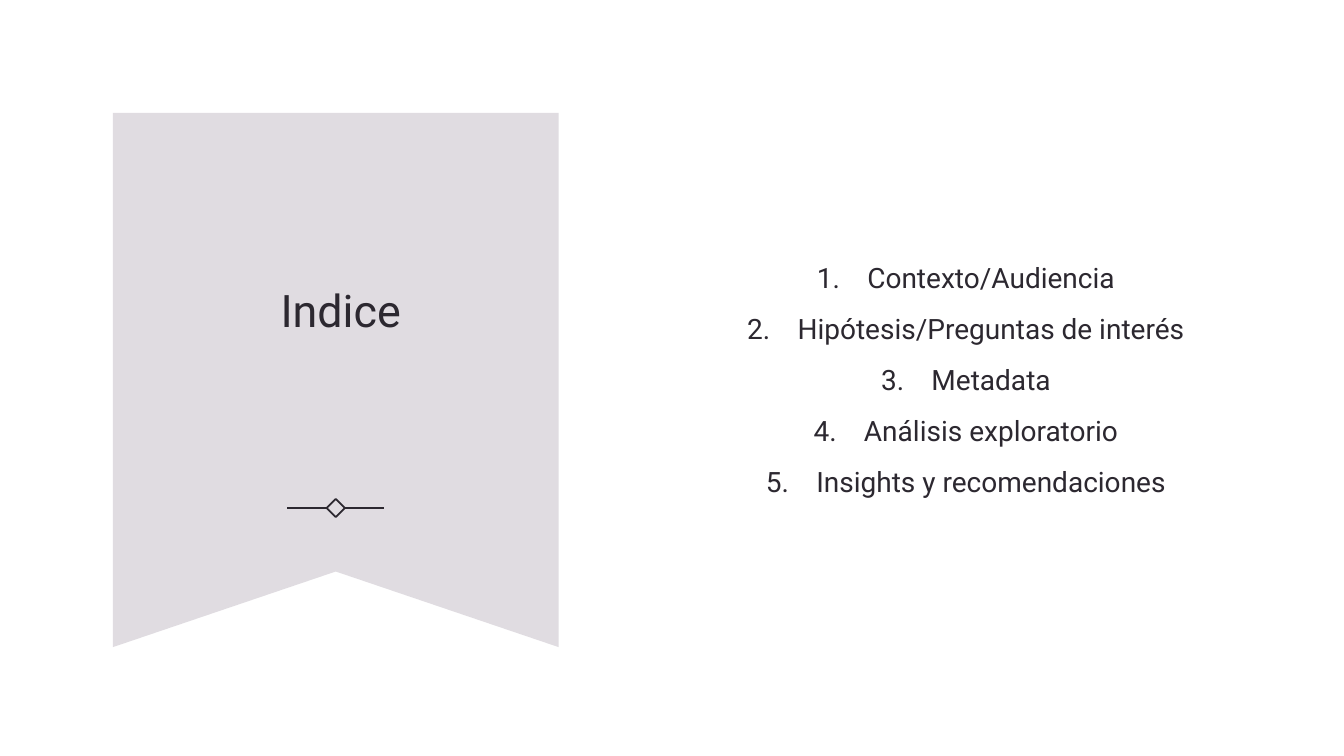
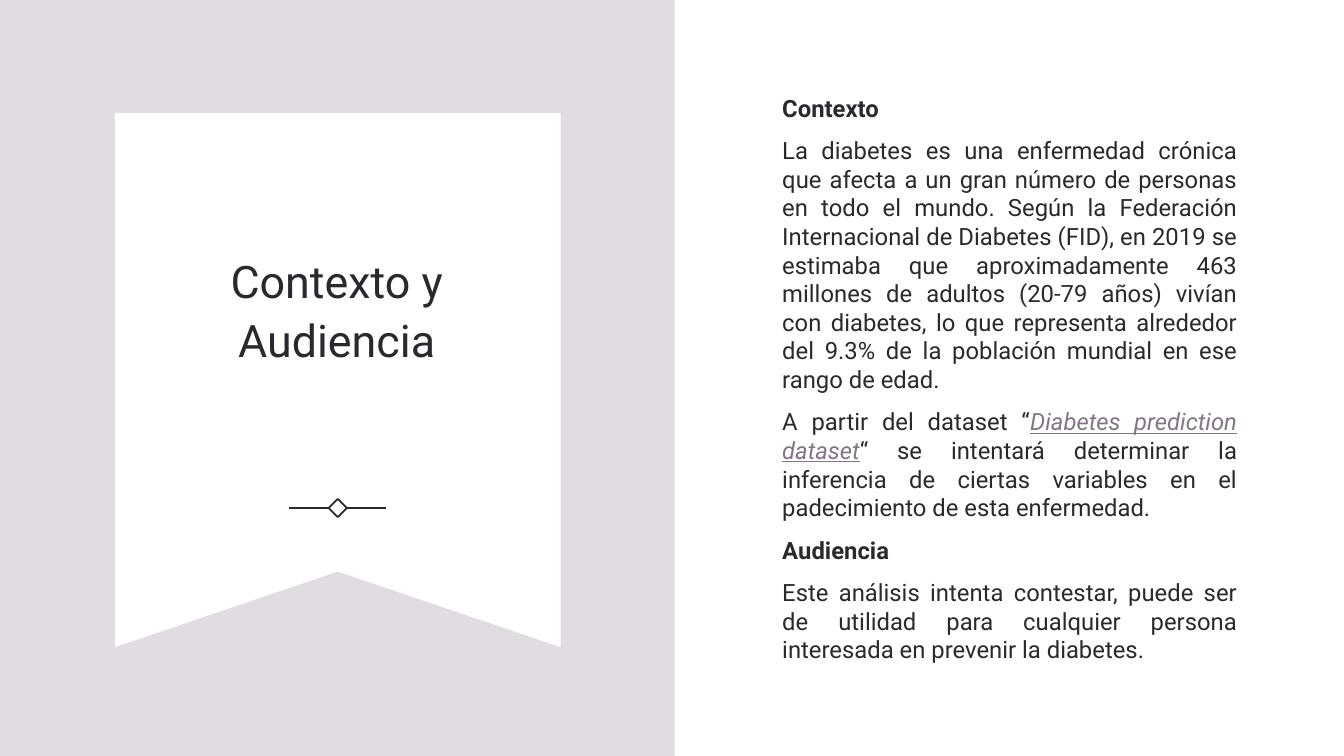
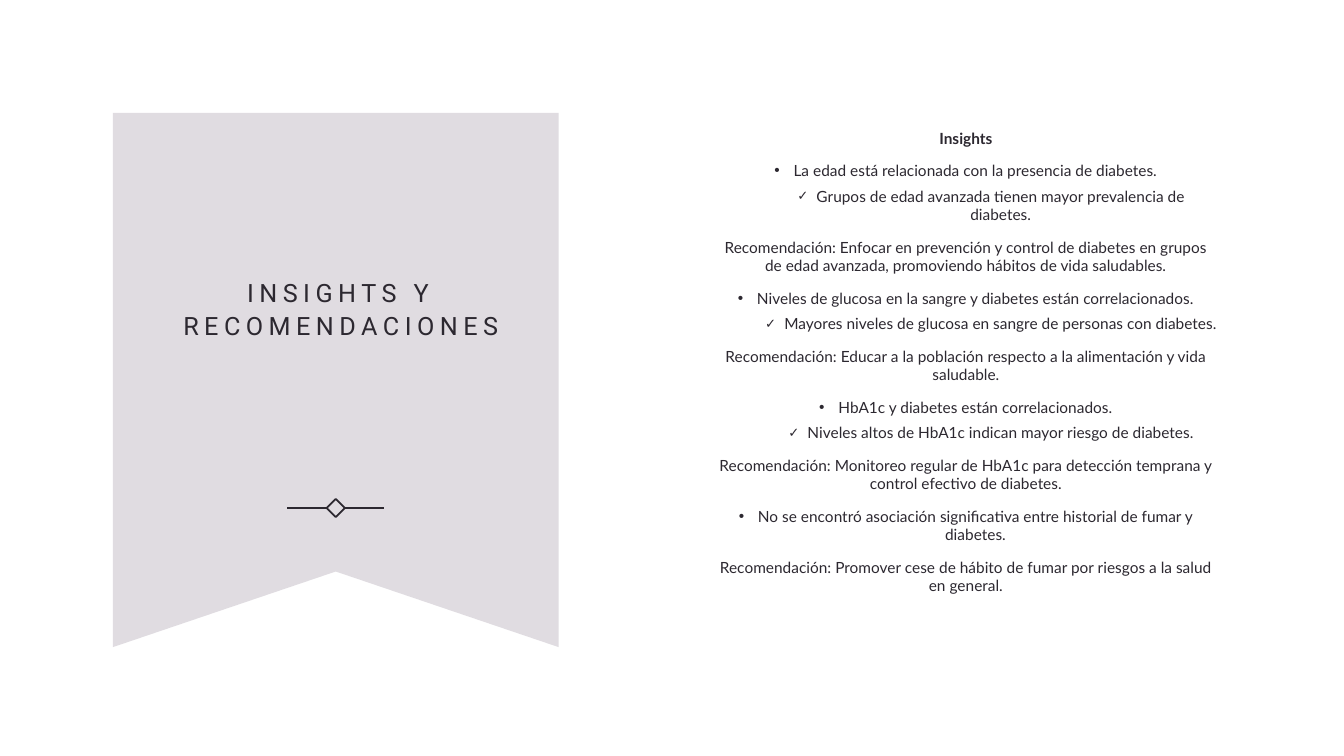
from lxml import etree
from pptx import Presentation
from pptx.dml.color import RGBColor
from pptx.enum.shapes import MSO_CONNECTOR, MSO_SHAPE
from pptx.enum.text import MSO_ANCHOR, PP_ALIGN
from pptx.oxml.ns import qn
from pptx.util import Inches, Pt

INK = RGBColor(0x2C, 0x28, 0x30)
LILAC = RGBColor(0xE0, 0xDC, 0xE1)
LINK = RGBColor(0x83, 0x75, 0x85)
WHITE = RGBColor(0xFF, 0xFF, 0xFF)
CENTER, JUSTIFY = PP_ALIGN.CENTER, PP_ALIGN.JUSTIFY
MIDDLE = MSO_ANCHOR.MIDDLE
RECT, DIAMOND = MSO_SHAPE.RECTANGLE, MSO_SHAPE.DIAMOND
STRAIGHT = MSO_CONNECTOR.STRAIGHT

# Paragraph kinds: left margin, hanging indent, space before, bullet elements
KINDS = {
    "plain": (0, 0, 10, []),
    "bold": (0, 0, 10, []),
    "number": (0.5, 0.5, 10, [("buFont", {"typeface": "+mj-lt"}),
                              ("buAutoNum", {"type": "arabicPeriod"})]),
    "dot": (0.19, 0.19, 10, [("buFont", {"typeface": "Arial"}),
                             ("buChar", {"char": "•"})]),
    "check": (0.69, 0.19, 5, [("buSzPct", {"val": "85000"}),
                              ("buChar", {"char": "✓"})]),
}


def add_text(s, x, y, w, h, paras, size=20, font="Roboto", align=CENTER,
             line=1.0, tracking=0):
    """Add a text box; paras holds (kind, text), and *marks* set a link."""
    tf = s.shapes.add_textbox(Inches(x), Inches(y), Inches(w), Inches(h)).text_frame
    tf.word_wrap = True
    tf.vertical_anchor = MIDDLE
    for i, (kind, text) in enumerate(paras):
        margin, hang, before, bullet = KINDS[kind]
        p = tf.paragraphs[0] if i == 0 else tf.add_paragraph()
        p.alignment = align
        p.line_spacing = line
        p.space_before = Pt(before)
        pPr = p._p.get_or_add_pPr()
        pPr.set("marL", str(Inches(margin)))
        pPr.set("indent", str(-Inches(hang)))
        for tag, attrs in bullet:
            etree.SubElement(pPr, qn("a:" + tag), attrs)
        for j, part in enumerate(text.split("*")):
            is_link = j % 2 == 1
            r = p.add_run()
            r.text = part
            r.font.name = font
            r.font.size = Pt(size)
            r.font.bold = kind == "bold"
            r.font.color.rgb = LINK if is_link else INK
            if is_link:
                r.font.italic = r.font.underline = True
            if tracking:
                r._r.get_or_add_rPr().set("spc", str(int(tracking * 100)))


def add_ribbon(s, x, color):
    """Add the swallow-tailed ribbon and its line-and-diamond ornament."""
    w, top, bottom, notch = 4.42, 1.12, 6.42, 5.67
    fb = s.shapes.build_freeform(Inches(x), Inches(top))
    corners = [(x + w, top), (x + w, bottom), (x + w / 2, notch), (x, bottom)]
    fb.add_line_segments([(Inches(a), Inches(b)) for a, b in corners])
    ribbon = fb.convert_to_shape()
    ribbon.shadow.inherit = False
    ribbon.fill.solid()
    ribbon.fill.fore_color.rgb = color
    ribbon.line.fill.background()

    cx, cy, half, reach = x + w / 2, 5.04, 0.09, 0.48
    diamond = s.shapes.add_shape(DIAMOND, Inches(cx - half), Inches(cy - half),
                                 Inches(2 * half), Inches(2 * half))
    diamond.shadow.inherit = False
    diamond.fill.background()
    strokes = [diamond]
    for side, site in ((-1, 1), (1, 3)):
        c = s.shapes.add_connector(STRAIGHT, Inches(cx + side * half), Inches(cy),
                                   Inches(cx + side * reach), Inches(cy))
        c.begin_connect(diamond, site)
        etree.SubElement(c._element.spPr, qn("a:effectLst"))
        strokes.append(c)
    for sp in strokes:
        sp.line.color.rgb = INK
        sp.line.width = Pt(1.25)


INDEX = [("number", t) for t in (
    "Contexto/Audiencia",
    "Hipótesis/Preguntas de interés",
    "Metadata",
    "Análisis exploratorio",
    "Insights y recomendaciones",
)]
CONTEXT = [
    ("bold", "Contexto"),
    ("plain", "La diabetes es una enfermedad crónica que afecta a un gran número de "
              "personas en todo el mundo. Según la Federación Internacional de Diabetes "
              "(FID), en 2019 se estimaba que aproximadamente 463 millones de adultos "
              "(20-79 años) vivían con diabetes, lo que representa alrededor del 9.3% de "
              "la población mundial en ese rango de edad."),
    ("plain", "A partir del dataset “*Diabetes prediction dataset*“ se intentará "
              "determinar la inferencia de ciertas variables en el padecimiento de esta "
              "enfermedad."),
    ("bold", "Audiencia"),
    ("plain", "Este análisis intenta contestar, puede ser de utilidad para cualquier "
              "persona interesada en prevenir la diabetes."),
]
INSIGHTS = [
    ("bold", "Insights"),
    ("dot", "La edad está relacionada con la presencia de diabetes."),
    ("check", "Grupos de edad avanzada tienen mayor prevalencia de diabetes."),
    ("plain", "Recomendación: Enfocar en prevención y control de diabetes en grupos de "
              "edad avanzada, promoviendo hábitos de vida saludables."),
    ("dot", "Niveles de glucosa en la sangre y diabetes están correlacionados."),
    ("check", "Mayores niveles de glucosa en sangre de personas con diabetes."),
    ("plain", "Recomendación: Educar a la población respecto a la alimentación y vida "
              "saludable."),
    ("dot", "HbA1c y diabetes están correlacionados."),
    ("check", "Niveles altos de HbA1c indican mayor riesgo de diabetes."),
    ("plain", "Recomendación: Monitoreo regular de HbA1c para detección temprana y "
              "control efectivo de diabetes."),
    ("dot", "No se encontró asociación significativa entre historial de fumar y "
            "diabetes."),
    ("plain", "Recomendación: Promover cese de hábito de fumar por riesgos a la salud "
              "en general."),
]

prs = Presentation()
prs.slide_width, prs.slide_height = Inches(13.33), Inches(7.5)
blank = prs.slide_layouts[6]
TITLE_BOX = {"y": 1.48, "w": 3.68, "h": 3.14, "line": 1.1}

# Index
s = prs.slides.add_slide(blank)
add_ribbon(s, 1.12, LILAC)
add_text(s, x=1.54, paras=[("plain", "Indice")], size=32, **TITLE_BOX)
add_text(s, 6.99, 0.79, 5.18, 5.92, INDEX, line=1.1)

# Context and audience, on a lilac left panel
s = prs.slides.add_slide(blank)
panel = s.shapes.add_shape(RECT, 0, 0, Inches(6.69), prs.slide_height)
panel.shadow.inherit = False
panel.fill.solid()
panel.fill.fore_color.rgb = LILAC
panel.line.fill.background()
add_ribbon(s, 1.14, WHITE)
add_text(s, x=1.5, paras=[("plain", "Contexto y Audiencia")], size=32, **TITLE_BOX)
add_text(s, 7.66, 0.95, 4.71, 5.61, CONTEXT, size=17, align=JUSTIFY)

# Insights and recommendations
s = prs.slides.add_slide(blank)
add_ribbon(s, 1.12, LILAC)
add_text(s, x=1.54, paras=[("plain", "INSIGHTS Y RECOMENDACIONES")], size=18,
         tracking=3.9, **TITLE_BOX)
add_text(s, 6.99, 0.79, 5.18, 5.6, INSIGHTS, size=11, font="Lato")

prs.save("out.pptx")
